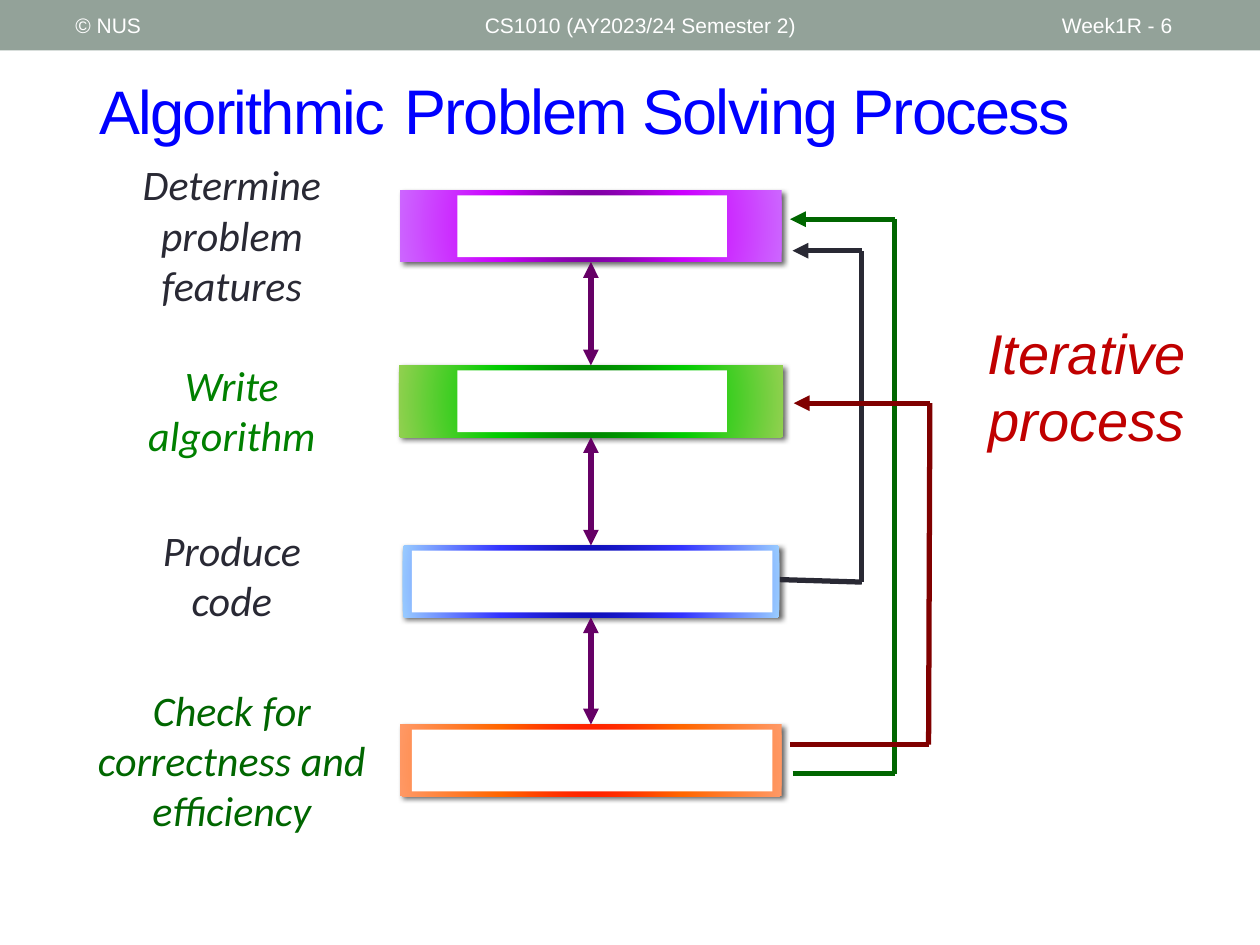
from lxml import etree
from pptx import Presentation
from pptx.dml.color import RGBColor
from pptx.enum.shapes import MSO_CONNECTOR, MSO_SHAPE
from pptx.enum.text import MSO_ANCHOR, PP_ALIGN
from pptx.oxml import parse_xml
from pptx.oxml.ns import nsdecls, qn
from pptx.util import Inches, Pt

RECTANGLE = MSO_SHAPE.RECTANGLE
STRAIGHT = MSO_CONNECTOR.STRAIGHT
CENTER, LEFT = PP_ALIGN.CENTER, PP_ALIGN.LEFT
TOP, MIDDLE = MSO_ANCHOR.TOP, MSO_ANCHOR.MIDDLE

COLORS = {
    "white": "FFFFFF", "header": "93A299", "title": "0000FF", "dark": "292934",
    "green": "008000", "deep green": "006600", "purple": "660066",
    "maroon": "800000", "red": "C00000",
}
SLIDE_WIDTH, SLIDE_HEIGHT = 10, 7.5
HEADER_HEIGHT = 0.4
BAR_CENTER, BAR_HEIGHT = 4.69, 0.57
PANEL_CENTER, PANEL_HEIGHT = 4.7, 0.49
LABEL_CENTER = 1.84

# text, left, width
HEADERS = [
    ("© NUS", 0.5, 3.17),
    ("CS1010 (AY2023/24 Semester 2)", 3.75, 4.5),
    ("Week1R - 6", 8.33, 1.17),
]
# text, left, top, width, size
TITLES = [
    ("Algorithmic", 0.69, 0.5, 3.26, 35.1),
    ("Problem Solving Process", 3.11, 0.49, 6.12, 36),
]
# bar top, bar width, panel width, gradient from the centre outwards
STEPS = [
    (1.51, 3.03, 2.14, ("5B0079", "CC00FF", "CC66FF")),
    (2.9, 3.05, 2.14, ("006600", "00CC00", "92D050")),
    (4.33, 2.99, 2.86, ("000099", "3333FF", "99CCFF")),
    (5.75, 3.03, 2.86, ("FF0000", "FF6600", "FF9966")),
]
# text, top, width, height, colour
LABELS = [
    ("Determine problem features", 1.21, 2.42, 1.31, "dark"),
    ("Write algorithm", 2.8, 2.3, 0.91, "green"),
    ("Produce code", 4.11, 1.86, 0.91, "dark"),
    ("Check for correctness and efficiency", 5.38, 2.77, 1.31, "deep green"),
]
# colour, corner points ending at the arrowhead
FEEDBACK_LOOPS = [
    ("dark", [(6.19, 4.6), (6.84, 4.62), (6.84, 1.99), (6.29, 1.99)]),
    ("deep green", [(6.29, 6.14), (7.1, 6.14), (7.1, 1.74), (6.27, 1.74)]),
    ("maroon", [(6.27, 5.91), (7.37, 5.91), (7.38, 3.2), (6.3, 3.2)]),
]


def rgb(name):
    return RGBColor.from_string(COLORS[name])


def add_text(slide, text, box, size, color, font="Arial", italic=False,
             align=LEFT, anchor=TOP, spacing=None):
    shape = slide.shapes.add_textbox(*map(Inches, box))
    frame = shape.text_frame
    frame.word_wrap = True
    frame.vertical_anchor = anchor
    frame.text = text
    paragraph = frame.paragraphs[0]
    paragraph.alignment = align
    run = paragraph.runs[0]
    run.font.name, run.font.size = font, Pt(size)
    run.font.italic = italic
    run.font.color.rgb = rgb(color)
    if spacing is not None:
        run.font._element.set("spc", str(spacing))


def add_rectangle(slide, box, color):
    shape = slide.shapes.add_shape(RECTANGLE, *map(Inches, box))
    shape.shadow.inherit = False
    shape.line.fill.background()
    shape.fill.solid()
    shape.fill.fore_color.rgb = rgb(color)
    return shape


def add_gradient_bar(slide, box, gradient):
    """Add a bar with a radial gradient and a soft drop shadow."""
    properties = add_rectangle(slide, box, "white")._element.spPr
    stops = "".join(
        f'<a:gs pos="{index * 50000}"><a:srgbClr val="{color}"/></a:gs>'
        for index, color in enumerate(gradient))
    properties.replace(properties.find(qn("a:solidFill")), parse_xml(
        f'<a:gradFill {nsdecls("a")} rotWithShape="1"><a:gsLst>{stops}</a:gsLst>'
        '<a:path path="circle"><a:fillToRect l="50000" t="50000" r="50000" b="50000"/>'
        '</a:path></a:gradFill>'))
    properties.find(qn("a:effectLst")).append(parse_xml(
        f'<a:outerShdw {nsdecls("a")} blurRad="{Pt(3)}" dist="{Pt(2)}" dir="2700000" '
        'algn="tl" rotWithShape="0"><a:srgbClr val="000000"><a:alpha val="60000"/>'
        '</a:srgbClr></a:outerShdw>'))


def add_line(slide, start, end, color, arrows=()):
    """Draw a line; arrows names the ends ("headEnd", "tailEnd") with a triangle."""
    connector = slide.shapes.add_connector(STRAIGHT, *map(Inches, (*start, *end)))
    connector.line.color.rgb = rgb(color)
    connector.line.width = Pt(3)
    line = connector.line._get_or_add_ln()
    for arrow in arrows:
        etree.SubElement(line, qn(f"a:{arrow}"), type="triangle")
    etree.SubElement(connector._element.spPr, qn("a:effectLst"))


def main():
    presentation = Presentation()
    presentation.slide_width = Inches(SLIDE_WIDTH)
    presentation.slide_height = Inches(SLIDE_HEIGHT)
    slide = presentation.slides.add_slide(presentation.slide_layouts[6])

    add_rectangle(slide, (0, 0, SLIDE_WIDTH, HEADER_HEIGHT), "header")
    for text, left, width in HEADERS:
        add_text(slide, text, (left, 0.02, width, 0.36), 12, "white", anchor=MIDDLE)
    for text, left, top, width, size in TITLES:
        add_text(slide, text, (left, top, width, 0.75), size, "title",
                 anchor=MIDDLE, spacing=-100)

    for top, width, _, gradient in STEPS:
        add_gradient_bar(slide, (BAR_CENTER - width / 2, top, width, BAR_HEIGHT), gradient)
    for upper, lower in zip(STEPS, STEPS[1:]):
        add_line(slide, (BAR_CENTER, upper[0] + BAR_HEIGHT), (BAR_CENTER, lower[0]),
                 "purple", ("headEnd", "tailEnd"))
    for color, points in FEEDBACK_LOOPS:
        for start, end in zip(points, points[1:]):
            add_line(slide, start, end, color, ("tailEnd",) if end == points[-1] else ())

    add_text(slide, "Iterative process", (7.5, 2.48, 2.25, 1.18), 32, "red",
             italic=True, align=CENTER)
    for text, top, width, height, color in LABELS:
        add_text(slide, text, (LABEL_CENTER - width / 2, top, width, height), 24, color,
                 font="Calibri", italic=True, align=CENTER)
    for top, _, width, _ in STEPS:
        panel_top = top + (BAR_HEIGHT - PANEL_HEIGHT) / 2
        add_rectangle(slide, (PANEL_CENTER - width / 2, panel_top, width, PANEL_HEIGHT), "white")

    presentation.save("out.pptx")


if __name__ == "__main__":
    main()
